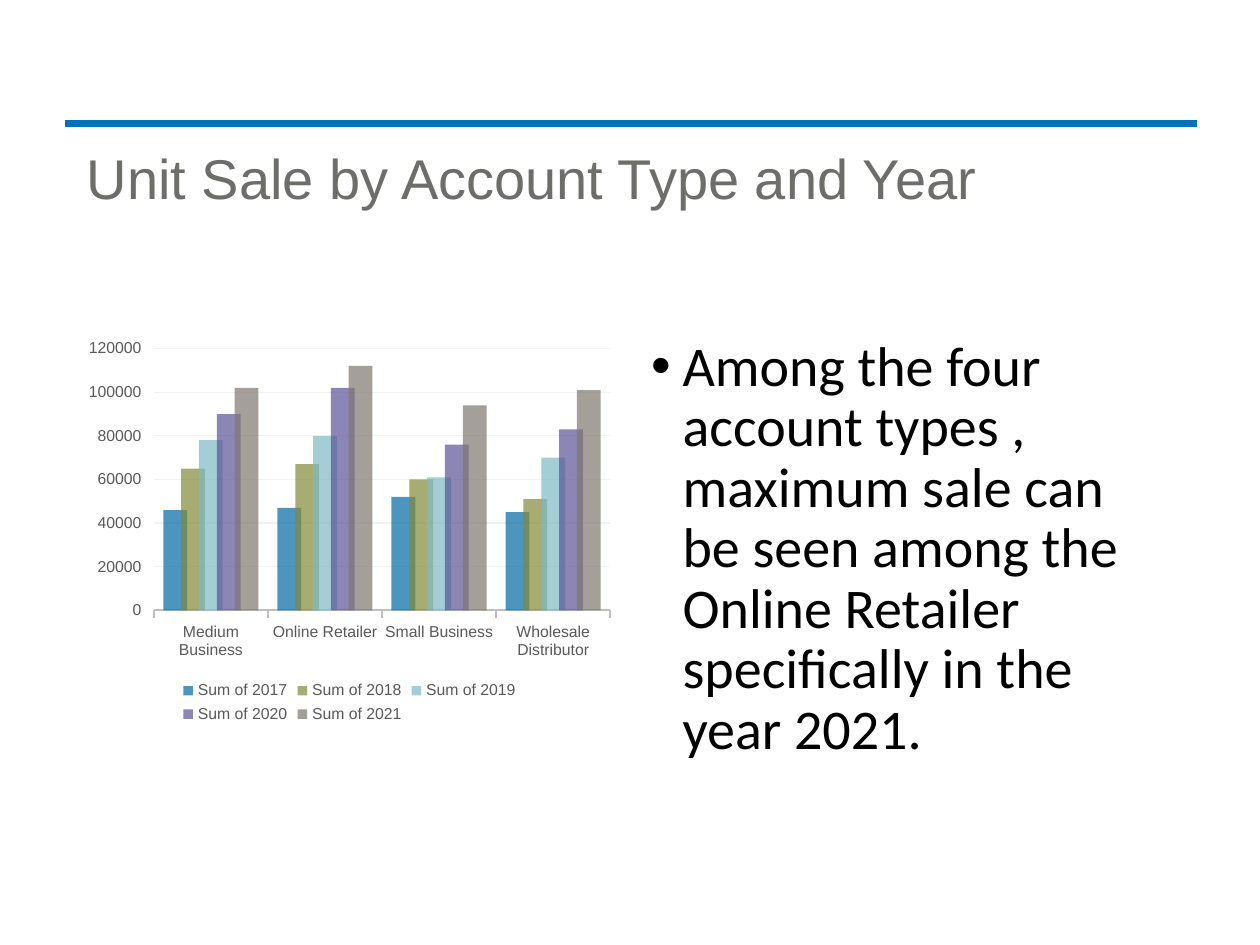
from pptx import Presentation
from pptx.chart.data import CategoryChartData
from pptx.dml.color import RGBColor
from pptx.enum.chart import XL_CHART_TYPE, XL_LEGEND_POSITION, XL_TICK_MARK
from pptx.enum.text import MSO_ANCHOR, PP_ALIGN
from pptx.oxml.ns import qn
from pptx.util import Pt
from lxml import etree

# Content
TITLE = "Unit Sale by Account Type and Year"
FINDING = ("Among the four account types , maximum sale can be seen among "
           "the Online Retailer specifically in the year 2021.")
ACCOUNTS = ["Medium Business", "Online Retailer", "Small Business", "Wholesale Distributor"]
SALES = [
    ("Sum of 2017", [46000, 47000, 52000, 45000], "0069A3"),
    ("Sum of 2018", [65000, 67000, 60000, 51000], "818A37"),
    ("Sum of 2019", [78000, 80000, 61000, 70000], "7DBAC4"),
    ("Sum of 2020", [90000, 102000, 76000, 83000], "5A5397"),
    ("Sum of 2021", [102000, 112000, 94000, 101000], "7E776F"),
]
OPACITY = 70
LABEL_COLOR = "595959"


def rgb(value):
    return RGBColor.from_string(value)


def style_font(font, name, size, color):
    font.name = name
    font.size = Pt(size)
    font.bold = False
    font.color.rgb = rgb(color)


def write(para, text, name, size, color):
    para.alignment = PP_ALIGN.LEFT
    para.line_spacing = 0.9
    span = para.add_run()
    span.text = text
    style_font(span.font, name, size, color)


def place(shape, left, top, width, height):
    shape.left, shape.top, shape.width, shape.height = map(Pt, (left, top, width, height))


deck = Presentation()
deck.slide_width, deck.slide_height = Pt(720), Pt(540)
page = deck.slides.add_slide(deck.slide_layouts[5])

# Rule above the title
rule = page.shapes.add_connector(1, Pt(37.4), Pt(70.6), Pt(684), Pt(70.6))
rule.line.color.rgb = rgb("0070C0")
rule.line.width = Pt(4.5)
etree.SubElement(rule._element.spPr, qn("a:effectLst"))

# Title
title = page.shapes.title
place(title, 49.7, 36, 526.3, 126)
frame = title.text_frame
frame.word_wrap = True
frame.vertical_anchor = MSO_ANCHOR.BOTTOM
frame.margin_left = frame.margin_right = 0
frame.margin_bottom = Pt(41)
write(frame.paragraphs[0], TITLE, "Arial", 32, "6D6E6A")

# Finding
box = page.shapes.add_textbox(Pt(365), Pt(189.4), Pt(305.3), Pt(314.6))
box.text_frame.word_wrap = True
para = box.text_frame.paragraphs[0]
write(para, FINDING, "Calibri", 32, "000000")
props = para._p.get_or_add_pPr()
props.set("marL", str(Pt(18)))
props.set("indent", str(-Pt(18)))
etree.SubElement(props, qn("a:buFont"), typeface="Arial")
etree.SubElement(props, qn("a:buChar"), char="•")

# Chart
data = CategoryChartData()
data.categories = ACCOUNTS
for name, values, color in SALES:
    data.add_series(name, values)
chart = page.shapes.add_chart(XL_CHART_TYPE.COLUMN_CLUSTERED, Pt(44.6), Pt(189.4),
                              Pt(310.3), Pt(226.8), data).chart
style_font(chart.font, "Arial", 10, "000000")
chart.has_title = False
plot = chart.plots[0]
plot.gap_width, plot.overlap = 80, 25
plot.vary_by_categories = False
for series, (name, values, color) in zip(plot.series, SALES):
    fill = series.format.fill
    fill.solid()
    fill.fore_color.rgb = rgb(color)
    tint = series._element.spPr.find(".//" + qn("a:srgbClr"))
    etree.SubElement(tint, qn("a:alpha"), val=str(OPACITY * 1000))

# Axes and legend
accounts, units = chart.category_axis, chart.value_axis
for axis in (accounts, units):
    axis.major_tick_mark = XL_TICK_MARK.OUTSIDE
    style_font(axis.tick_labels.font, "Arial", 9, LABEL_COLOR)
accounts.format.line.color.rgb = rgb("BFBFBF")
accounts.format.line.width = Pt(1.25)
units.minimum_scale, units.maximum_scale, units.major_unit = 0, 120000, 20000
units.tick_labels.number_format = "General"
units.tick_labels.number_format_is_linked = False
units.format.line.fill.background()
units.has_major_gridlines = True
units.major_gridlines.format.line.color.rgb = rgb("F2F2F2")
units.major_gridlines.format.line.width = Pt(0.75)
chart.has_legend = True
chart.legend.position = XL_LEGEND_POSITION.BOTTOM
chart.legend.include_in_layout = False
style_font(chart.legend.font, "Arial", 9, LABEL_COLOR)

deck.save("out.pptx")
